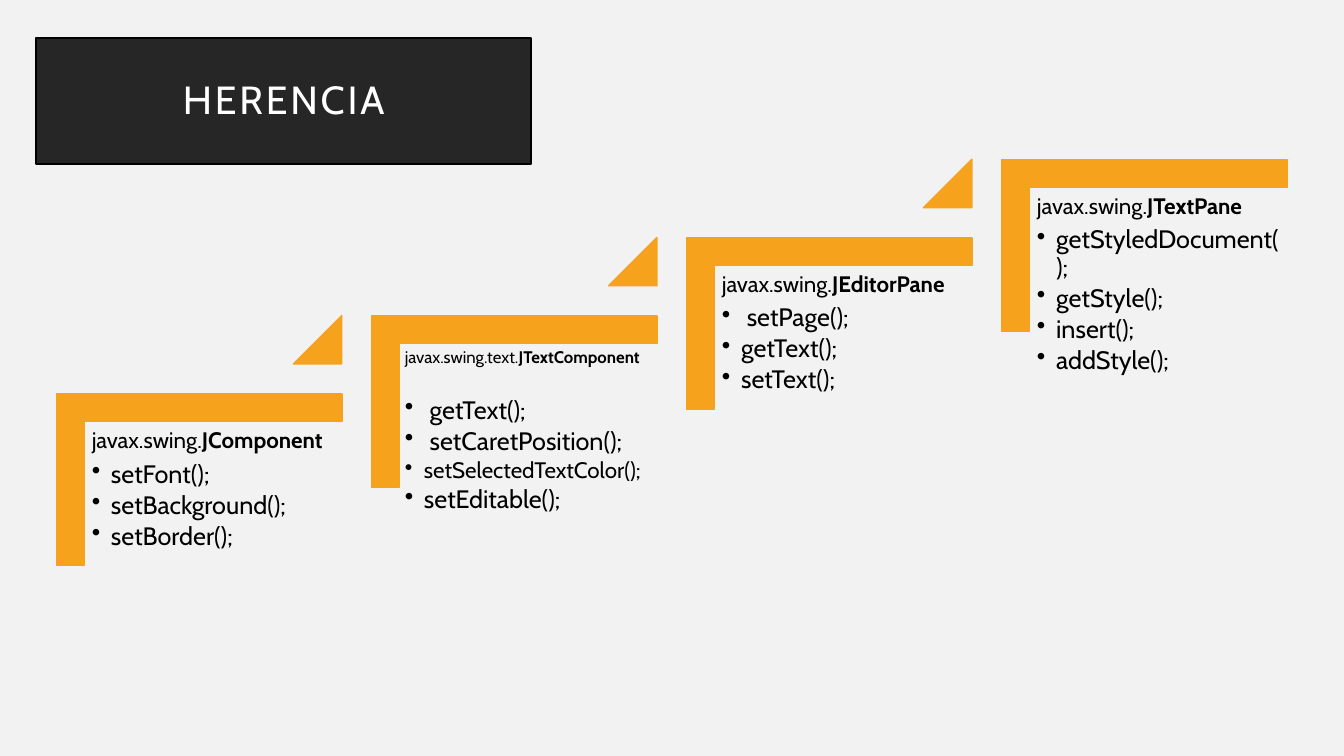
from lxml.etree import SubElement
from pptx import Presentation
from pptx.dml.color import RGBColor
from pptx.enum.shapes import MSO_SHAPE
from pptx.enum.text import MSO_ANCHOR, PP_ALIGN
from pptx.oxml.ns import qn
from pptx.util import Inches, Pt

COLORS = {"background": "F2F2F2", "step": "F6A21D", "banner": "262626",
          "banner_line": "000000", "title": "FFFFFF", "text": "000000"}
FONT = "Cabin"
STEP_X, STEP_Y = 3.125, -0.775
CORNER_W, CORNER_H = 2.83, 1.7

# package, class, heading size, space after heading, inset, [(method, size)]
CLASSES = [
    ("javax.swing.", "JComponent", 16, 5.6, 0.07,
     [("setFont();", 18), ("setBackground();", 18), ("setBorder();", 18)]),
    ("javax.swing.text.", "JTextComponent", 12, 21.6, 0.05,
     [(" getText();", 18), (" setCaretPosition();", 18),
      ("setSelectedTextColor();", 16), ("setEditable();", 18)]),
    ("javax.swing.", "JEditorPane", 16, 5.6, 0.07,
     [(" setPage();", 18), ("getText();", 18), ("setText();", 18)]),
    ("javax.swing.", "JTextPane", 16, 5.6, 0.07,
     [("getStyledDocument();", 18), ("getStyle();", 18),
      ("insert();", 18), ("addStyle();", 18)]),
]


def rgb(name):
    """Return the named colour."""
    return RGBColor.from_string(COLORS[name])


def style_run(run, size, color="text", bold=False):
    """Set the font of a run."""
    run.font.name = FONT
    run.font.size = Pt(size)
    run.font.bold = bold
    run.font.color.rgb = rgb(color)


def add_block(slide, preset, box, fill, line, line_width):
    """Add a filled preset shape; box is left, top, width, height in inches."""
    block = slide.shapes.add_shape(preset, *map(Inches, box))
    block.shadow.inherit = False
    block.fill.solid()
    block.fill.fore_color.rgb = rgb(fill)
    block.line.color.rgb = rgb(line)
    block.line.width = Pt(line_width)
    return block


def add_title(slide, title):
    """Add the dark banner with the spaced title."""
    banner = add_block(slide, MSO_SHAPE.RECTANGLE, (0.36, 0.38, 4.91, 1.25),
                       "banner", "banner_line", 1.5)
    banner.text_frame.vertical_anchor = MSO_ANCHOR.MIDDLE
    heading = banner.text_frame.paragraphs[0]
    heading.text = title
    heading.alignment = PP_ALIGN.CENTER
    heading.line_spacing = 0.9
    style_run(heading.runs[0], 28, "title")
    heading.runs[0]._r.get_or_add_rPr().set("spc", "200")


def add_corner(slide, left, top):
    """Add the corner bracket, turned so that it opens down and right."""
    shift = (CORNER_W - CORNER_H) / 2
    corner = add_block(slide, MSO_SHAPE.CORNER,
                       (left + shift, top - shift, CORNER_H, CORNER_W),
                       "step", "step", 1)
    corner.rotation = 90
    corner.adjustments[0] = corner.adjustments[1] = 0.161


def add_arrow(slide, left, top):
    """Add the triangle that points up to the next step."""
    arrow = add_block(slide, MSO_SHAPE.ISOSCELES_TRIANGLE,
                      (left, top, 0.48, 0.48), "step", "step", 1)
    arrow.adjustments[0] = 1


def add_bullet(paragraph):
    """Give a paragraph a bullet with a hanging indent."""
    paragraph.level = 1
    properties = paragraph._p.get_or_add_pPr()
    properties.set("marL", str(Inches(0.19)))
    properties.set("indent", str(-Inches(0.19)))
    SubElement(properties, qn("a:buChar")).set("char", "•")


def add_class_text(slide, left, top, content):
    """Add the qualified class name and its bulleted methods."""
    package_name, class_name, size, gap, inset, methods = content
    frame = slide.shapes.add_textbox(
        Inches(left), Inches(top), Inches(2.55), Inches(2.24)).text_frame
    frame.word_wrap = True
    frame.margin_left = frame.margin_right = Inches(inset)
    frame.margin_top = frame.margin_bottom = Inches(inset)
    heading = frame.paragraphs[0]
    for words, bold in ((package_name, False), (class_name, True)):
        run = heading.add_run()
        run.text = words
        style_run(run, size, bold=bold)
    heading.line_spacing = 0.9
    heading.space_after = Pt(gap)
    for method, method_size in methods:
        item = frame.add_paragraph()
        item.text = method
        item.line_spacing = 0.9
        item.space_after = Pt(0.15 * method_size)
        add_bullet(item)
        style_run(item.runs[0], method_size)


def main():
    """Build the slide."""
    deck = Presentation()
    deck.slide_width, deck.slide_height = Inches(13.33), Inches(7.5)
    slide = deck.slides.add_slide(deck.slide_layouts[6])
    slide.background.fill.solid()
    slide.background.fill.fore_color.rgb = rgb("background")
    for index, content in enumerate(CLASSES):
        left, top = 0.56 + index * STEP_X, 3.91 + index * STEP_Y
        add_corner(slide, left, top)
        add_class_text(slide, left + 0.28, top + 0.28, content)
        if index < len(CLASSES) - 1:
            add_arrow(slide, left + 2.35, top - 0.78)
    add_title(slide, "HERENCIA")
    deck.save("out.pptx")


main()
